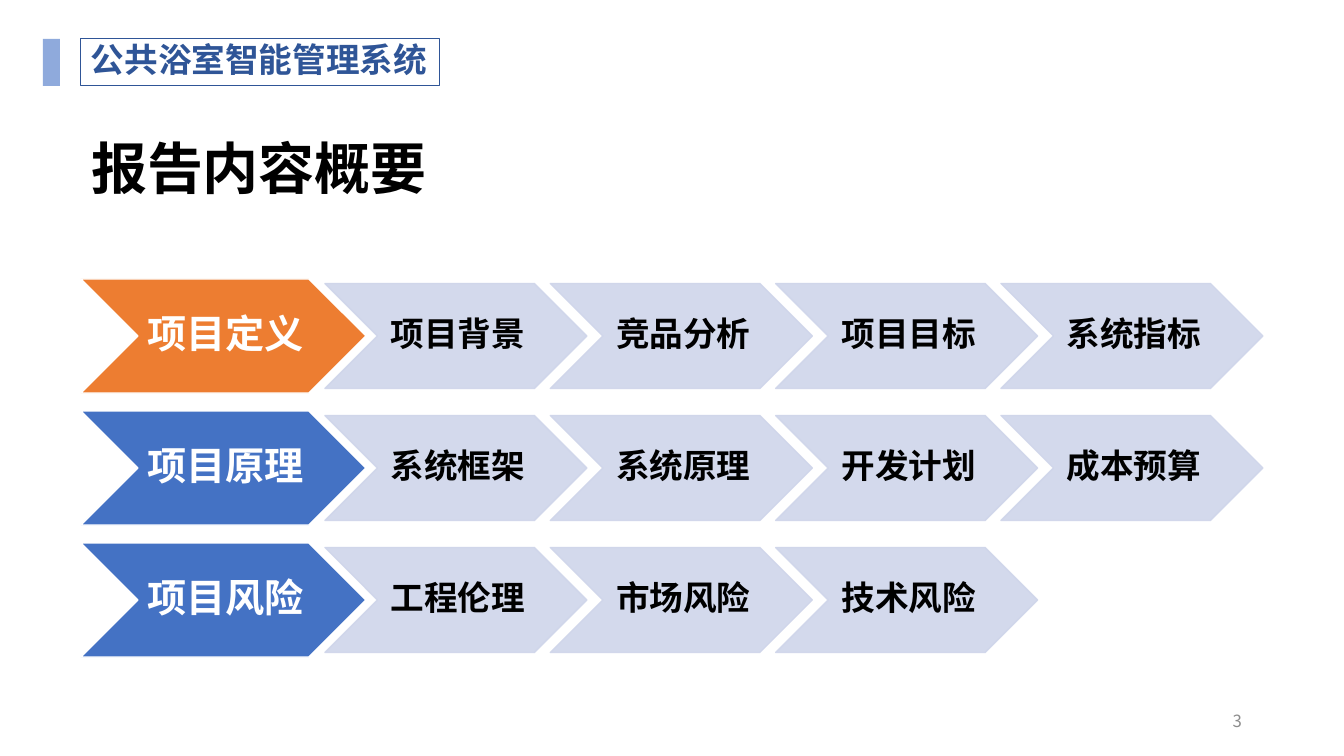
from pptx import Presentation
from pptx.dml.color import RGBColor
from pptx.enum import shapes, text
from pptx.oxml import ns, xmlchemy
from pptx import util as u

BLACK = RGBColor(0x00, 0x00, 0x00)
WHITE = RGBColor(0xFF, 0xFF, 0xFF)
ORANGE = RGBColor(0xED, 0x7D, 0x31)
BLUE = RGBColor(0x44, 0x72, 0xC4)
NAVY = RGBColor(0x2F, 0x55, 0x97)
SKY = RGBColor(0x8F, 0xAA, 0xDC)
PALE = RGBColor(0xCF, 0xD5, 0xEA)
GRAY = RGBColor(0x8C, 0x8C, 0x8C)

HEADER = "公共浴室智能管理系统"
TITLE = "报告内容概要"
PAGE = "3"
CHAPTERS = [
    ("项目定义", ORANGE, ["项目背景", "竞品分析", "项目目标", "系统指标"]),
    ("项目原理", BLUE, ["系统框架", "系统原理", "开发计划", "成本预算"]),
    ("项目风险", BLUE, ["工程伦理", "市场风险", "技术风险"]),
]

PX = u.Inches(1) / 100.8
SLIDE_SIZE = (1344, 756)
TITLE_BOX = (81, 136, 1183, 62)
HEADER_BOX = (81, 39, 359, 47)
ACCENT_BOX = (43, 39, 17, 47)
PAGE_BOX = (950, 701, 302, 40)

LEFT, TOP, ROW_STEP = 81, 279, 132
HEAD_W, HEAD_H = 285, 114
ITEM_W, ITEM_H = 262, 105
FIRST_ITEM_X, LAST_ITEM_X = 325, 1001
ITEM_STEP = (LAST_ITEM_X - FIRST_ITEM_X) / 3
ITEM_INDENT_Y = (HEAD_H - ITEM_H) / 2

CJK = "Noto Sans CJK SC"
TITLE_FONT = {"size": u.Pt(40), "bold": True, "name": "Arial"}
HEADER_FONT = {"size": u.Pt(24), "bold": True, "name": CJK}
HEAD_FONT = {"size": u.Pt(28), "bold": True, "name": CJK}
ITEM_FONT = {"size": u.Pt(24), "bold": True, "name": CJK}
PAGE_FONT = {"size": u.Pt(12), "bold": False, "name": CJK}

MIDDLE_FRAME = {
    "auto_size": text.MSO_AUTO_SIZE.NONE,
    "word_wrap": True,
    "vertical_anchor": text.MSO_ANCHOR.MIDDLE,
}
HEADER_FRAME = {**MIDDLE_FRAME, "vertical_anchor": text.MSO_ANCHOR.TOP}
CHEVRON_FRAME = {
    **MIDDLE_FRAME,
    "margin_left": u.Inches(0.04),
    "margin_right": 0,
    "margin_top": u.Inches(0.02),
    "margin_bottom": u.Inches(0.02),
}
LEFT_LINE = {"alignment": text.PP_ALIGN.LEFT, "line_spacing": 1.0}
RIGHT_LINE = {"alignment": text.PP_ALIGN.RIGHT, "line_spacing": 1.0}
HEADER_LINE = {"alignment": text.PP_ALIGN.LEFT, "line_spacing": 0.9}
CHEVRON_LINE = {"alignment": text.PP_ALIGN.CENTER, "line_spacing": 0.9}


def px(values):
    return [round(value * PX) for value in values]


def set_all(target, values):
    for name, value in values.items():
        setattr(target, name, value)


def write(sp, words, font, color, line, frame):
    tf = sp.text_frame
    set_all(tf, frame)
    p = tf.paragraphs[0]
    set_all(p, line)
    r = p.add_run()
    r.text = words
    set_all(r.font, font)
    r.font.color.rgb = color
    ea = xmlchemy.OxmlElement("a:ea")
    ea.set("typeface", CJK)
    r.font._element.find(ns.qn("a:latin")).addnext(ea)


def paint(fmt, color):
    if color is None:
        fmt.background()
    else:
        fmt.solid()
        fmt.fore_color.rgb = color


def add_shape(s, kind, box, fill=None, line=None, line_width=1):
    sp = s.shapes.add_shape(kind, *px(box))
    sp.shadow.inherit = False
    paint(sp.fill, fill)
    paint(sp.line.fill, line)
    if line is not None:
        sp.line.width = u.Pt(line_width)
    return sp


def set_opacity(sp, percent):
    for color in sp._element.spPr.iter(ns.qn("a:srgbClr")):
        alpha = xmlchemy.OxmlElement("a:alpha")
        alpha.set("val", str(percent * 1000))
        color.append(alpha)


def add_chapter(s, y, name, color, items):
    chevron = shapes.MSO_SHAPE.CHEVRON
    head = add_shape(s, chevron, (LEFT, y, HEAD_W, HEAD_H), color, WHITE)
    write(head, name, HEAD_FONT, WHITE, CHEVRON_LINE, CHEVRON_FRAME)
    for col, words in enumerate(items):
        x = FIRST_ITEM_X + col * ITEM_STEP
        item = add_shape(s, chevron, (x, y + ITEM_INDENT_Y, ITEM_W, ITEM_H), PALE, PALE)
        set_opacity(item, 90)
        write(item, words, ITEM_FONT, BLACK, CHEVRON_LINE, CHEVRON_FRAME)


def main():
    prs = Presentation()
    prs.slide_width, prs.slide_height = px(SLIDE_SIZE)
    s = prs.slides.add_slide(prs.slide_layouts[5])

    title = s.shapes.title
    set_all(title, dict(zip(("left", "top", "width", "height"), px(TITLE_BOX))))
    write(title, TITLE, TITLE_FONT, BLACK, LEFT_LINE, MIDDLE_FRAME)

    for row, (name, color, items) in enumerate(CHAPTERS):
        add_chapter(s, TOP + row * ROW_STEP, name, color, items)

    page = s.shapes.add_textbox(*px(PAGE_BOX))
    write(page, PAGE, PAGE_FONT, GRAY, RIGHT_LINE, MIDDLE_FRAME)

    rectangle = shapes.MSO_SHAPE.RECTANGLE
    header = add_shape(s, rectangle, HEADER_BOX, line=NAVY, line_width=0.75)
    write(header, HEADER, HEADER_FONT, NAVY, HEADER_LINE, HEADER_FRAME)
    add_shape(s, rectangle, ACCENT_BOX, fill=SKY)

    prs.save("out.pptx")


if __name__ == "__main__":
    main()
